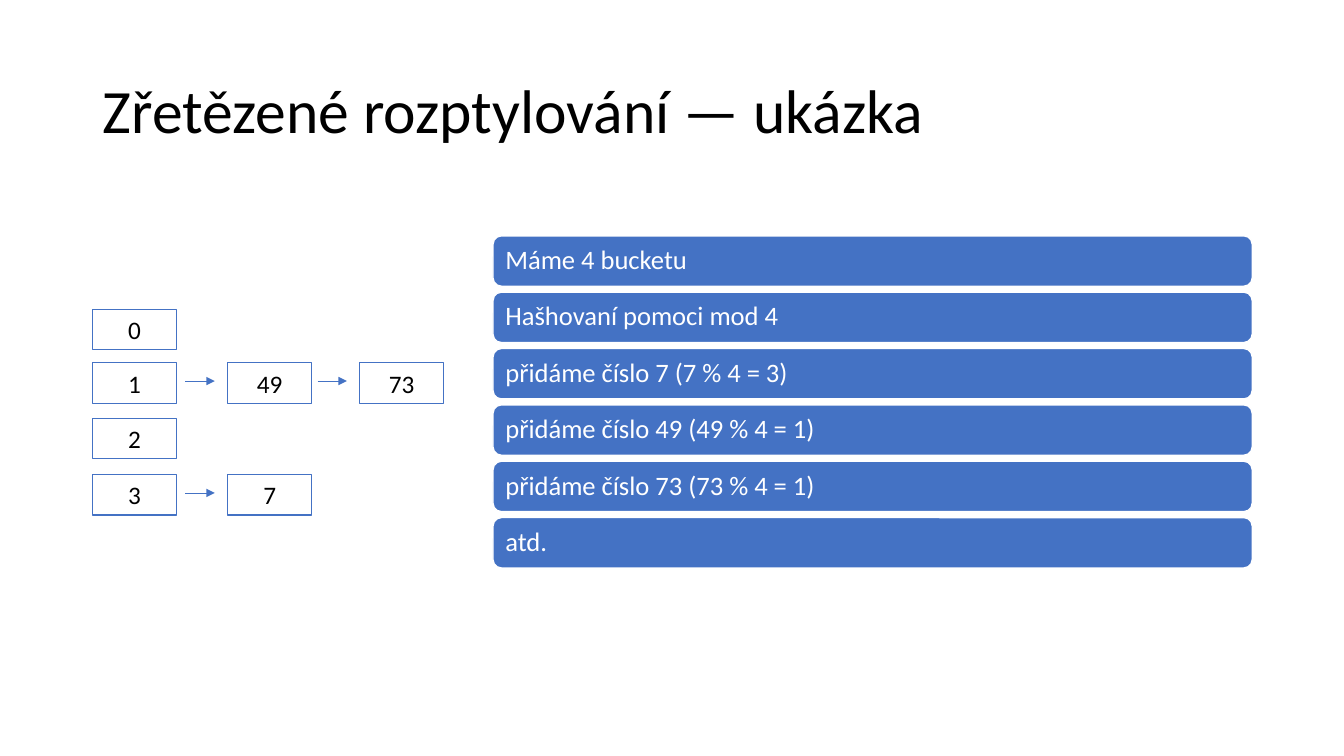
from dataclasses import dataclass

from lxml.etree import SubElement
from pptx import Presentation
from pptx.dml.color import RGBColor
from pptx.enum.shapes import MSO_CONNECTOR, MSO_SHAPE
from pptx.enum.text import MSO_ANCHOR, PP_ALIGN
from pptx.oxml.ns import qn
from pptx.shapes.autoshape import Shape
from pptx.slide import Slide
from pptx.text.text import TextFrame
from pptx.util import Inches, Pt

BLUE = RGBColor(0x44, 0x72, 0xC4)
BLACK = RGBColor(0x00, 0x00, 0x00)
WHITE = RGBColor(0xFF, 0xFF, 0xFF)
FONT = "Calibri"

LEFT_MARGIN = 0.92
CELL_COLUMNS = (LEFT_MARGIN, 2.26, 3.57)
CELL_WIDTH, CELL_HEIGHT = 0.83, 0.4
ARROW_LENGTH, ARROW_GAP, ARROW_DROP = 0.29, 0.13, 0.18
STEP_LEFT, STEP_TOP, STEP_PITCH = 4.89, 2.34, 0.559
STEP_WIDTH, STEP_HEIGHT, STEP_INSET = 7.53, 0.5, 0.1


@dataclass(frozen=True)
class Bucket:
    """A row of the hash table: its top edge, and its index with the chained keys."""
    top: float
    cells: tuple[str, ...]


BUCKETS = (
    Bucket(3.07, ("0",)),
    Bucket(3.6, ("1", "49", "73")),
    Bucket(4.15, ("2",)),
    Bucket(4.71, ("3", "7")),
)
STEPS = (
    "Máme 4 bucketu",
    "Hašhovaní pomoci mod 4",
    "přidáme číslo 7 (7 % 4 = 3)",
    "přidáme číslo 49 (49 % 4 = 1)",
    "přidáme číslo 73 (73 % 4 = 1)",
    "atd.",
)


def write(frame: TextFrame, text: str, size: float, color: RGBColor,
          alignment: PP_ALIGN = PP_ALIGN.LEFT, line_spacing: float = 1.0) -> None:
    """Write one vertically centred paragraph into a text frame."""
    frame.word_wrap = True
    frame.vertical_anchor = MSO_ANCHOR.MIDDLE
    paragraph = frame.paragraphs[0]
    paragraph.alignment = alignment
    paragraph.line_spacing = line_spacing
    run = paragraph.add_run()
    run.text = text
    run.font.name = FONT
    run.font.size = Pt(size)
    run.font.color.rgb = color


def add_box(slide: Slide, kind: MSO_SHAPE, left: float, top: float, width: float,
            height: float, line_color: RGBColor, line_width: float) -> Shape:
    """Add an outlined shape without a shadow."""
    shape = slide.shapes.add_shape(
        kind, Inches(left), Inches(top), Inches(width), Inches(height))
    shape.shadow.inherit = False
    shape.line.color.rgb = line_color
    shape.line.width = Pt(line_width)
    return shape


def add_arrow(slide: Slide, target_left: float, row_top: float) -> None:
    """Add the arrow that leads to the cell at target_left."""
    end = target_left - ARROW_GAP
    height = Inches(row_top + ARROW_DROP)
    arrow = slide.shapes.add_connector(
        MSO_CONNECTOR.STRAIGHT, Inches(end - ARROW_LENGTH), height, Inches(end), height)
    arrow.line.color.rgb = BLUE
    arrow.line.width = Pt(0.5)
    properties = arrow.element.find(qn("p:spPr"))
    SubElement(properties.find(qn("a:ln")), qn("a:tailEnd"), type="triangle")
    SubElement(properties, qn("a:effectLst"))


def add_bucket(slide: Slide, bucket: Bucket) -> None:
    """Draw a bucket and the keys chained to it."""
    for column, (left, text) in enumerate(zip(CELL_COLUMNS, bucket.cells)):
        cell = add_box(slide, MSO_SHAPE.RECTANGLE, left, bucket.top,
                       CELL_WIDTH, CELL_HEIGHT, BLUE, 0.75)
        cell.fill.background()
        write(cell.text_frame, text, 18, BLACK, PP_ALIGN.CENTER)
        if column > 0:
            add_arrow(slide, left, bucket.top)


def add_step(slide: Slide, row: int, text: str) -> None:
    """Draw one bar of the list of steps."""
    bar = add_box(slide, MSO_SHAPE.ROUNDED_RECTANGLE, STEP_LEFT,
                  STEP_TOP + row * STEP_PITCH, STEP_WIDTH, STEP_HEIGHT, WHITE, 1)
    bar.fill.solid()
    bar.fill.fore_color.rgb = BLUE
    frame = bar.text_frame
    frame.margin_left = frame.margin_right = Inches(STEP_INSET)
    write(frame, text, 19, WHITE, line_spacing=0.9)


def add_title(slide: Slide, text: str) -> None:
    """Place and fill the title placeholder."""
    title = slide.shapes.title
    title.left, title.top = Inches(LEFT_MARGIN), Inches(0.4)
    title.width, title.height = Inches(11.5), Inches(1.45)
    write(title.text_frame, text, 44, BLACK, line_spacing=0.9)


def main() -> None:
    """Build the slide and save it."""
    presentation = Presentation()
    presentation.slide_width, presentation.slide_height = Inches(13.33), Inches(7.5)
    slide = presentation.slides.add_slide(
        presentation.slide_layouts.get_by_name("Title Only"))
    add_title(slide, "Zřetězené rozptylování — ukázka")
    for bucket in BUCKETS:
        add_bucket(slide, bucket)
    for row, text in enumerate(STEPS):
        add_step(slide, row, text)
    presentation.save("out.pptx")


main()
